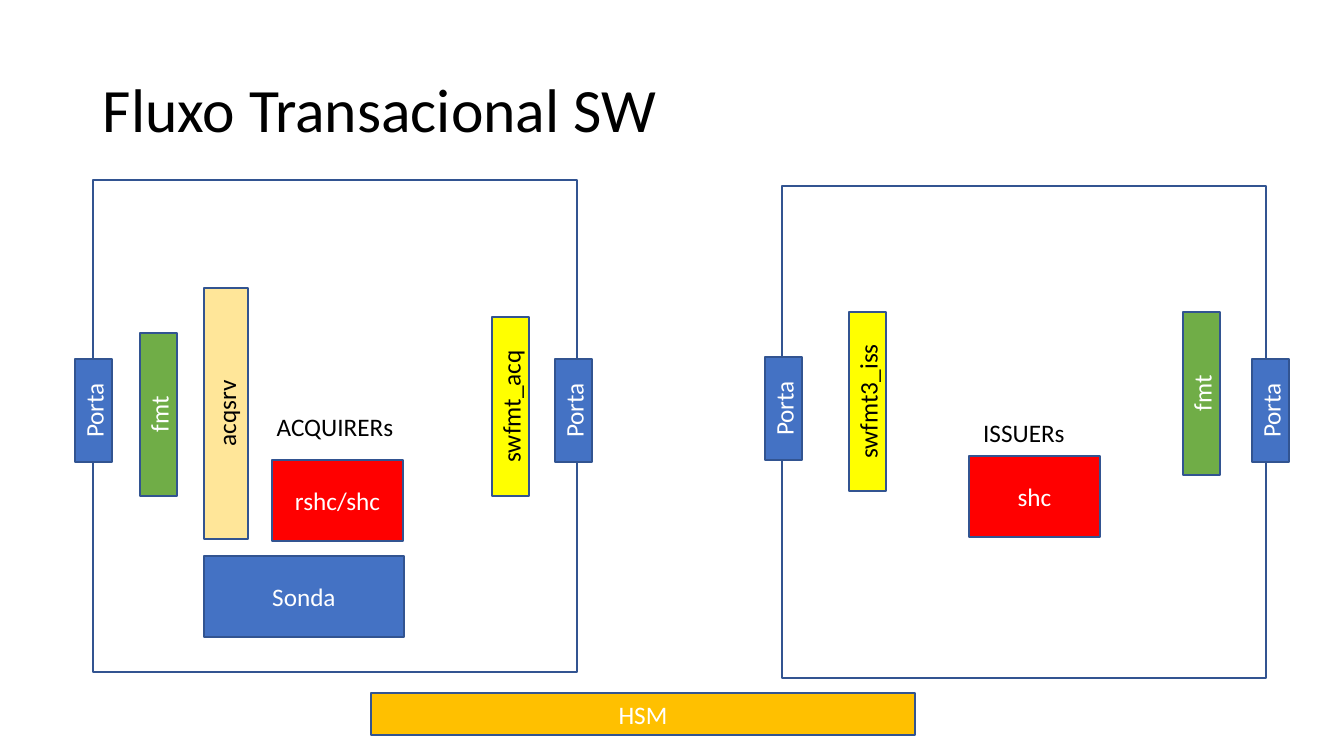
"""Build the "Fluxo Transacional SW" slide: acquirer and issuer panels with their modules."""
from pptx import Presentation
from pptx.dml.color import RGBColor
from pptx.enum.shapes import MSO_SHAPE
from pptx.enum.text import MSO_ANCHOR, PP_ALIGN

RECT = MSO_SHAPE.RECTANGLE
MIDDLE = MSO_ANCHOR.MIDDLE
CENTER = PP_ALIGN.CENTER

WHITE = RGBColor(0xFF, 0xFF, 0xFF)
BLACK = RGBColor(0x00, 0x00, 0x00)
BLUE = RGBColor(0x44, 0x72, 0xC4)
NAVY = RGBColor(0x32, 0x54, 0x91)
GREEN = RGBColor(0x70, 0xAD, 0x47)
CREAM = RGBColor(0xFF, 0xE6, 0x99)
RED = RGBColor(0xFF, 0x00, 0x00)
YELLOW = RGBColor(0xFF, 0xFF, 0x00)
AMBER = RGBColor(0xFF, 0xC0, 0x00)

PX = 914400 / 100.8
PT = 12700
FONT = "Calibri"
TITLE = "Fluxo Transacional SW"
TITLE_BOX = (93, 40, 1159, 146)

# kind: width, height, fill, text colour, vertical text
KINDS = {
    "panel": (484, 492, WHITE, BLACK, False),
    "port": (37, 103, BLUE, WHITE, True),
    "format": (37, 163, GREEN, WHITE, True),
    "server": (44, 251, CREAM, BLACK, True),
    "switch": (131, 81, RED, WHITE, False),
    "bridge": (37, 179, YELLOW, BLACK, True),
    "probe": (200, 81, BLUE, WHITE, False),
    "security": (544, 42, AMBER, WHITE, False),
}

# kind, label, left, top
BLOCKS = [
    ("panel", "ACQUIRERs", 93, 180),
    ("panel", "ISSUERs", 782, 186),
    ("port", "Porta", 75, 359),
    ("format", "fmt", 140, 333),
    ("server", "acqsrv", 204, 288),
    ("switch", "rshc/shc", 272, 460),
    ("bridge", "swfmt_acq", 492, 317),
    ("switch", "shc", 969, 456),
    ("port", "Porta", 555, 359),
    ("port", "Porta", 765, 357),
    ("port", "Porta", 1252, 359),
    ("bridge", "swfmt3_iss", 849, 312),
    ("format", "fmt", 1183, 312),
    ("probe", "Sonda", 204, 556),
    ("security", "HSM", 371, 693),
]


def emu(*lengths):
    return [round(n * PX) for n in lengths]


def write(s, text, size, color):
    tf = s.text_frame
    tf.text = text
    tf.word_wrap = True
    tf.vertical_anchor = MIDDLE
    p = tf.paragraphs[0]
    font = p.runs[0].font
    font.name = FONT
    font.size = size * PT
    font.color.rgb = color
    return p


def add_block(slide, kind, label, left, top):
    width, height, fill, color, vertical = KINDS[kind]
    s = slide.shapes.add_shape(RECT, *emu(left, top, width, height))
    s.shadow.inherit = False
    s.fill.solid()
    s.fill.fore_color.rgb = fill
    s.line.color.rgb = NAVY
    s.line.width = PT
    write(s, label, 18, color).alignment = CENTER
    if vertical:
        s.element.txBody.bodyPr.set("vert", "vert270")


def main():
    prs = Presentation()
    prs.slide_width, prs.slide_height = emu(1344, 756)
    slide = prs.slides.add_slide(prs.slide_layouts[6])
    title = slide.shapes.add_textbox(*emu(*TITLE_BOX))
    write(title, TITLE, 44, BLACK).line_spacing = 0.9
    for block in BLOCKS:
        add_block(slide, *block)
    prs.save("out.pptx")


if __name__ == "__main__":
    main()
